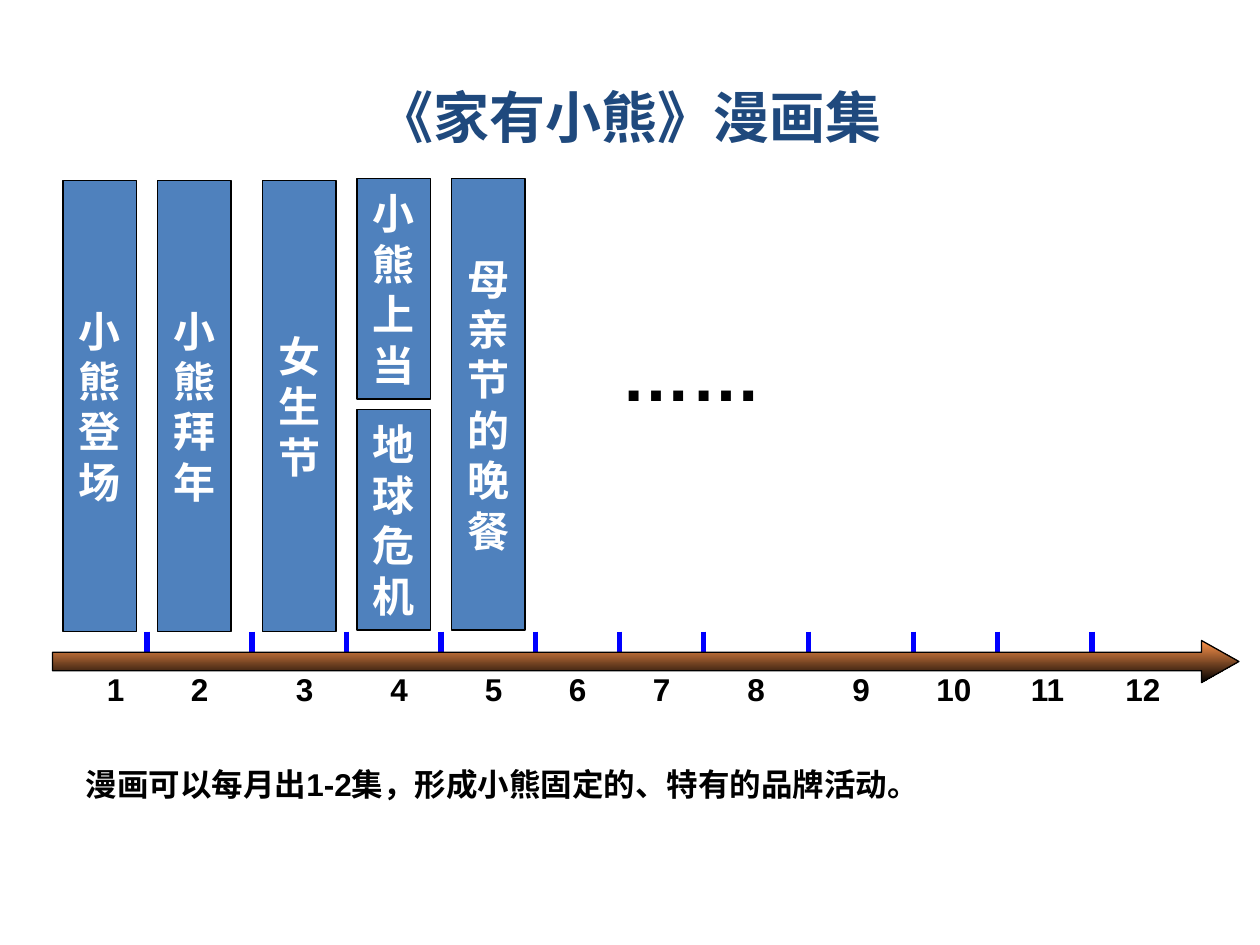
import pptx
import pptx.util
import pptx.dml.color
import pptx.enum.shapes
import pptx.enum.text
import pptx.oxml.ns
import lxml.etree

Pt = pptx.util.Pt
Kind = pptx.enum.shapes.MSO_SHAPE
Align = pptx.enum.text.PP_ALIGN
Anchor = pptx.enum.text.MSO_ANCHOR

THEME = {
    "font": "Arial",
    "title": "1F497D", "text": "000000", "light": "FFFFFF",
    "bar": "4F81BD", "tick": "0000FF", "edge": "000000",
    "fade": ("FF944B", "000000"),
    "big": 32, "dots": 40, "story": 24, "small": 18,
}

TITLE = "《家有小熊》漫画集"
NOTE = "漫画可以每月出1-2集，形成小熊固定的、特有的品牌活动。"
MORE = "……"

# Stories of a month: left, top, titles stacked in that column
STORIES = [
    (36, 103, ["小熊登场"]),
    (90, 103, ["小熊拜年"]),
    (150, 103, ["女生节"]),
    (204, 102, ["小熊上当", "地球危机"]),
    (258, 102, ["母亲节的晚餐"]),
]
MONTHS = [54, 102, 162, 216, 270, 318, 366, 420, 480, 528, 582, 636]
TICKS = [84, 144, 198, 252, 306, 354, 402, 462, 522, 570, 624]

BAR_W, BAR_H, GAP = 42, 258, 6
TICK_TOP, TICK_END = 361, 373
MONTH_TOP, LINE_H = 379.5, 28.8


def hue(name):
    return pptx.dml.color.RGBColor.from_string(name)


def write(frame, text, size, color, align=Align.LEFT, anchor=Anchor.TOP):
    frame.text = text
    frame.word_wrap = True
    frame.vertical_anchor = anchor
    para = frame.paragraphs[0]
    para.alignment = align
    font = para.runs[0].font
    font.name, font.size, font.bold = THEME["font"], Pt(size), True
    font.color.rgb = hue(color)


def label(slide, text, left, top, width, height, size):
    box = slide.shapes.add_textbox(Pt(left), Pt(top), Pt(width), Pt(height))
    write(box.text_frame, text, size, THEME["text"])


def shape(slide, kind, left, top, width, height):
    item = slide.shapes.add_shape(kind, Pt(left), Pt(top), Pt(width), Pt(height))
    item.shadow.inherit = False
    item.line.color.rgb = hue(THEME["edge"])
    item.line.width = Pt(0.75)
    return item


def tick(slide, x):
    line = slide.shapes.add_connector(
        pptx.enum.shapes.MSO_CONNECTOR.STRAIGHT,
        Pt(x), Pt(TICK_TOP), Pt(x), Pt(TICK_END))
    line.line.color.rgb = hue(THEME["tick"])
    line.line.width = Pt(3)
    lxml.etree.SubElement(line.element.spPr, pptx.oxml.ns.qn("a:effectLst"))


def axis(slide):
    arrow = shape(slide, Kind.RIGHT_ARROW, 30, 366, 678, 24)
    arrow.adjustments[0], arrow.adjustments[1] = 0.44, 0.89
    arrow.fill.gradient()
    arrow.fill.gradient_angle = 270
    for stop, place, color in zip(arrow.fill.gradient_stops, (0, 1), THEME["fade"]):
        stop.position = place
        stop.color.rgb = hue(color)


def column(slide, left, top, names):
    """Split the height of one month evenly among its stories."""
    height = (BAR_H - GAP * (len(names) - 1)) / len(names)
    for i, name in enumerate(names):
        bar = shape(slide, Kind.RECTANGLE, left, top + i * (height + GAP), BAR_W, height)
        bar.fill.solid()
        bar.fill.fore_color.rgb = hue(THEME["bar"])
        write(bar.text_frame, name, THEME["story"], THEME["light"],
              Align.CENTER, Anchor.MIDDLE)


def main():
    deck = pptx.Presentation()
    deck.slide_width, deck.slide_height = Pt(720), Pt(540)
    slide = deck.slides.add_slide(deck.slide_layouts[5])

    title = slide.shapes.title
    title.left, title.top, title.width, title.height = Pt(36), Pt(21.6), Pt(648), Pt(90)
    write(title.text_frame, TITLE, THEME["big"], THEME["title"],
          Align.CENTER, Anchor.MIDDLE)

    for x in TICKS:
        tick(slide, x)
    for month, left in enumerate(MONTHS, 1):
        width = 30 if month < 10 else 42
        label(slide, str(month), left, MONTH_TOP, width, LINE_H, THEME["small"])
    label(slide, MORE, 348, 186, 216, 55.4, THEME["dots"])
    label(slide, NOTE, 42, 433.5, 540, LINE_H, THEME["small"])
    axis(slide)
    for left, top, names in STORIES:
        column(slide, left, top, names)

    deck.save("out.pptx")


if __name__ == "__main__":
    main()
